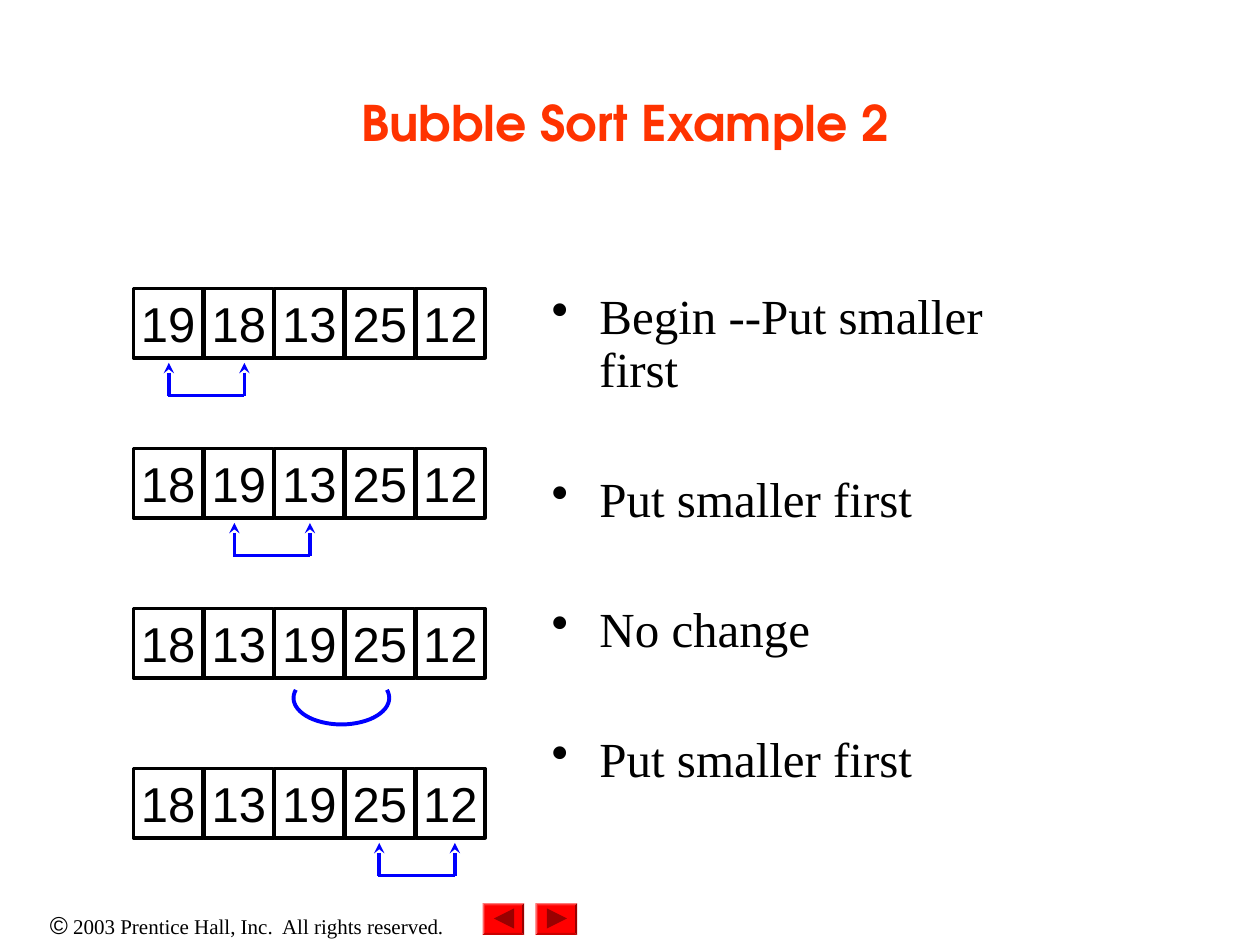
from dataclasses import dataclass
from math import cos, radians, sin
from typing import Optional

from lxml.etree import SubElement
from pptx import Presentation
from pptx.dml.color import RGBColor
from pptx.enum.shapes import MSO_CONNECTOR, MSO_SHAPE
from pptx.enum.text import MSO_ANCHOR, PP_ALIGN
from pptx.oxml.ns import qn
from pptx.util import Inches, Pt


@dataclass(frozen=True)
class Theme:
    ink: str = "000000"
    head: str = "FF3300"
    link: str = "0000FF"
    key: str = "FF0000"
    mark: str = "990000"
    big: float = 28
    mid: float = 14
    small: float = 12
    sans: str = "Arial"
    serif: str = "Times New Roman"
    title: str = "TeX Gyre Adventor"


@dataclass(frozen=True)
class Step:
    nums: tuple[int, ...]
    note: str
    swap: Optional[float] = None  # left end of the swap bracket


THEME = Theme()
STEPS = (
    Step((19, 18, 13, 25, 12), "Begin --Put smaller first", 1.34),
    Step((18, 19, 13, 25, 12), "Put smaller first", 1.86),
    Step((18, 13, 19, 25, 12), "No change"),
    Step((18, 13, 19, 25, 12), "Put smaller first", 3.01),
)
LEFT, TOP, SIDE = 1.06, 2.29, 0.55
COL, ROW = 0.56, 1.27


def tint(code: str) -> RGBColor:
    return RGBColor.from_string(code)


def add_run(para, text: str, size: float, face: str, code: str = THEME.ink,
            bold: bool = False) -> None:
    run = para.add_run()
    run.text = text
    run.font.size, run.font.name, run.font.bold = Pt(size), face, bold
    run.font.color.rgb = tint(code)


def add_box(slide, x: float, y: float, w: float, h: float):
    frame = slide.shapes.add_textbox(
        Inches(x), Inches(y), Inches(w), Inches(h)).text_frame
    frame.word_wrap = True
    return frame


def add_cell(slide, x: float, y: float, num: int) -> None:
    cell = slide.shapes.add_shape(
        MSO_SHAPE.RECTANGLE, Inches(x), Inches(y), Inches(SIDE), Inches(SIDE))
    cell.shadow.inherit = False
    cell.fill.background()
    cell.line.color.rgb, cell.line.width = tint(THEME.ink), Pt(2)
    frame = cell.text_frame
    frame.word_wrap = False
    frame.vertical_anchor = MSO_ANCHOR.MIDDLE
    frame.margin_left = frame.margin_right = Inches(0.09)
    para = frame.paragraphs[0]
    para.alignment = PP_ALIGN.CENTER
    add_run(para, str(num), THEME.big, THEME.sans)


def add_line(slide, x1: float, y1: float, x2: float, y2: float,
             head: bool = False) -> None:
    line = slide.shapes.add_connector(
        MSO_CONNECTOR.STRAIGHT, Inches(x1), Inches(y1), Inches(x2), Inches(y2))
    line.line.color.rgb, line.line.width = tint(THEME.link), Pt(2)
    if head:
        SubElement(line.line._get_or_add_ln(), qn("a:headEnd"), type="stealth")
    SubElement(line._element.spPr, qn("a:effectLst"))


def add_swap(slide, x: float, y: float) -> None:
    base = y + 0.26
    for end in (x, x + 0.6):
        add_line(slide, end, y, end, base, head=True)
    add_line(slide, x - 0.01, base, x + 0.6, base)


def add_path(slide, pts: list[tuple[float, float]], close: bool):
    pts = [(Inches(x), Inches(y)) for x, y in pts]
    build = slide.shapes.build_freeform(*pts[0])
    build.add_line_segments(pts[1:], close=close)
    shape = build.convert_to_shape()
    shape.shadow.inherit = False
    return shape


def add_arc(slide, x: float, y: float, rx: float, ry: float) -> None:
    turns = [radians(deg) for deg in range(-18, 199, 6)]
    arc = add_path(slide, [(x + rx * cos(t), y + ry * sin(t)) for t in turns],
                   close=False)
    arc.fill.background()
    arc.line.color.rgb, arc.line.width = tint(THEME.link), Pt(2.25)


def add_key(slide, x: float, y: float, way: int) -> None:
    key = slide.shapes.add_shape(
        MSO_SHAPE.BEVEL, Inches(x), Inches(y), Inches(0.33), Inches(0.25))
    key.adjustments[0] = 0.06
    mid, cy = x + 0.17, y + 0.12
    mark = add_path(slide, [(mid - 0.08 * way, cy - 0.08), (mid + 0.08 * way, cy),
                            (mid - 0.08 * way, cy + 0.08)], close=True)
    for shape, code in ((key, THEME.key), (mark, THEME.mark)):
        shape.shadow.inherit = False
        shape.fill.solid()
        shape.fill.fore_color.rgb = tint(code)
        shape.line.fill.background()


def add_note(para, text: str) -> None:
    props = para._p.get_or_add_pPr()
    props.set("marL", str(Inches(0.38)))
    props.set("indent", str(-Inches(0.38)))
    para.line_spacing, para.space_after = 0.9, Pt(44)
    SubElement(props, qn("a:buChar"), char="•")
    add_run(para, text, THEME.big, THEME.serif)


def main() -> None:
    deck = Presentation()
    deck.slide_width, deck.slide_height = Inches(10), Inches(7.5)
    slide = deck.slides.add_slide(deck.slide_layouts[6])

    # Footer and page keys
    foot = add_box(slide, 0, 7.17, 3.92, 0.34).paragraphs[0]
    foot.alignment = PP_ALIGN.CENTER
    add_run(foot, "©", THEME.mid, THEME.sans)
    add_run(foot, " 2003 Prentice Hall, Inc.  All rights reserved.",
            THEME.small, THEME.serif)
    add_key(slide, 4.25, 7.17, 1)
    add_key(slide, 3.83, 7.17, -1)

    # Title
    frame = add_box(slide, 0.67, 0, 8.58, 1.25)
    frame.vertical_anchor = MSO_ANCHOR.BOTTOM
    head = frame.paragraphs[0]
    head.alignment = PP_ALIGN.CENTER
    add_run(head, "Bubble Sort Example 2", THEME.big, THEME.title,
            THEME.head, bold=True)

    # Notes on each step
    notes = add_box(slide, 4.28, 2.27, 4.1, 4.73)
    for i, step in enumerate(STEPS):
        add_note(notes.add_paragraph() if i else notes.paragraphs[0], step.note)

    # Number rows with the compared pair marked
    for i, step in enumerate(STEPS):
        y = TOP + i * ROW
        for j, num in enumerate(step.nums):
            add_cell(slide, LEFT + j * COL, y, num)
        if step.swap is None:
            add_arc(slide, 2.71, y + 0.71, 0.38, 0.21)
        else:
            add_swap(slide, step.swap, y + 0.59)

    deck.save("out.pptx")


if __name__ == "__main__":
    main()
